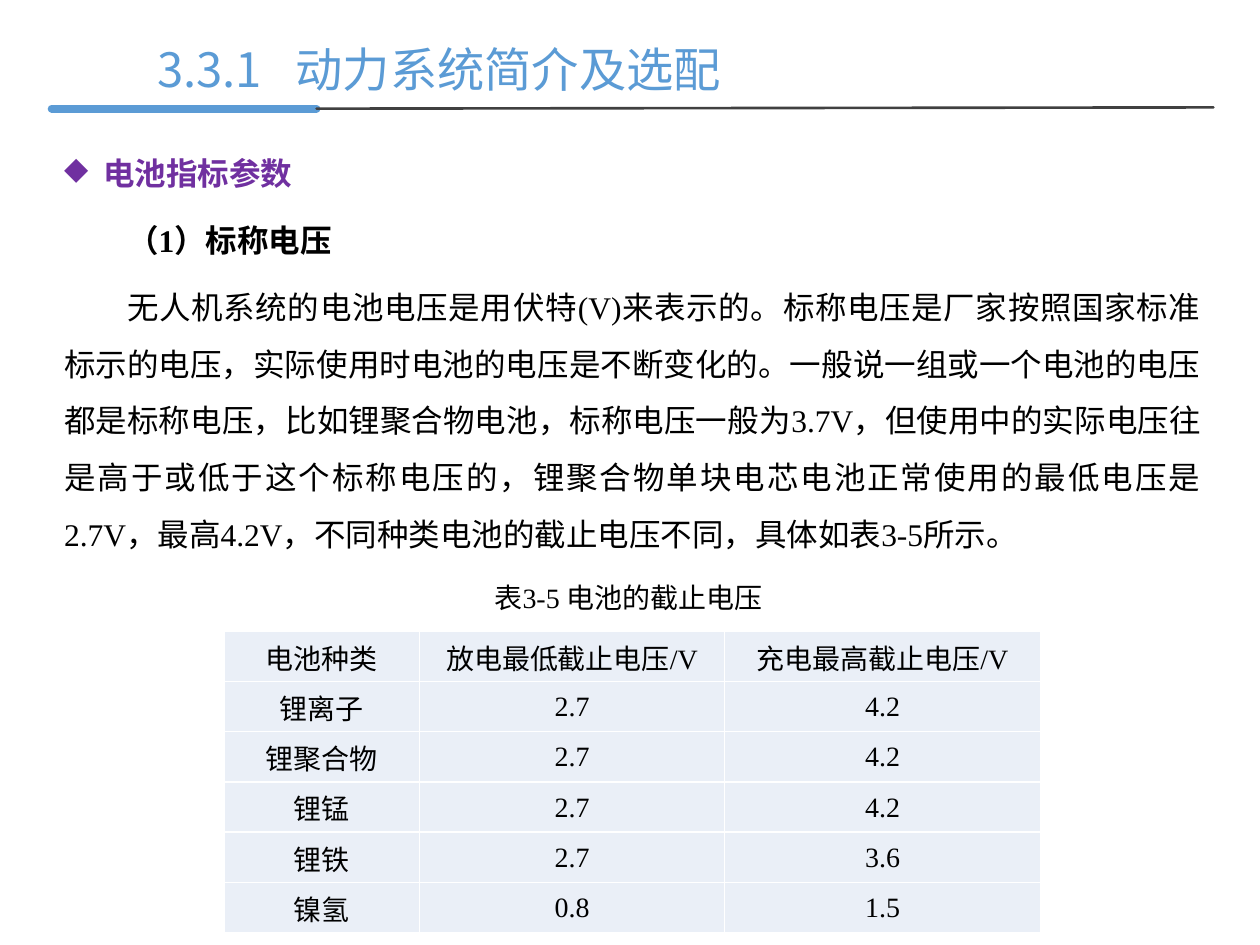
from typing import NamedTuple

from lxml.etree import SubElement
from pptx import Presentation
from pptx.dml.color import RGBColor
from pptx.enum.shapes import MSO_CONNECTOR
from pptx.enum.text import MSO_ANCHOR, PP_ALIGN as Align
from pptx.oxml import parse_xml
from pptx.oxml.ns import nsdecls, qn
from pptx.util import Inches, Pt

COLORS = {"accent": "5B9BD5", "rule": "404040", "heading": "7030A0",
          "text": "000000", "cell": "EAEFF7", "border": "FFFFFF"}
SANS, SERIF = "Noto Sans CJK SC", "Times New Roman"
BODY = {"name": SERIF, "size": Pt(18), "color": "text"}
SMALL = BODY | {"size": Pt(16)}

PARAGRAPH = (
    "无人机系统的电池电压是用伏特(V)来表示的。标称电压是厂家按照国家标准标示的电压，"
    "实际使用时电池的电压是不断变化的。一般说一组或一个电池的电压都是标称电压，"
    "比如锂聚合物电池，标称电压一般为3.7V，但使用中的实际电压往是高于或低于这个标称电压的，"
    "锂聚合物单块电芯电池正常使用的最低电压是2.7V，最高4.2V，"
    "不同种类电池的截止电压不同，具体如表3-5所示。")
VOLTAGES = [
    ("电池种类", "放电最低截止电压/V", "充电最高截止电压/V"),
    ("锂离子", "2.7", "4.2"),
    ("锂聚合物", "2.7", "4.2"),
    ("锂锰", "2.7", "4.2"),
    ("锂铁", "2.7", "3.6"),
    ("镍氢", "0.8", "1.5"),
]


class Box(NamedTuple):
    x: float
    y: float
    w: float
    h: float

    def inner(self, fx, fy, fw, fh):
        """Box inside this one, given as shares of its size."""
        return Box(self.x + fx * self.w, self.y + fy * self.h,
                   fw * self.w, fh * self.h)

    def emu(self):
        return [Inches(v) for v in self]


def rgb(key):
    return RGBColor.from_string(COLORS[key])


def add_run(p, text, fmt):
    r = p.add_run()
    r.text = text
    for name, value in fmt.items():
        if name == "color":
            r.font.color.rgb = rgb(value)
        else:
            setattr(r.font, name, value)
    SubElement(r.font._element, qn("a:ea"), typeface=SANS)


def add_textbox(s, box):
    tf = s.shapes.add_textbox(*box.emu()).text_frame
    tf.word_wrap = True
    return tf


def add_rule(s, start, end, color, width):
    line = s.shapes.add_connector(
        MSO_CONNECTOR.STRAIGHT, *[Inches(v) for v in (*start, *end)])
    line.line.color.rgb = rgb(color)
    line.line.width = Pt(width)
    line.line._ln.set("cap", "rnd")
    SubElement(line._element.spPr, qn("a:effectLst"))


def set_indent(p, left, first):
    pPr = p._p.get_or_add_pPr()
    pPr.set("marL", str(Inches(left)))
    pPr.set("indent", str(Inches(first)))
    return pPr


def draw_header(s, box):
    p = add_textbox(s, box.inner(0.08, 0, 0.9, 0.95)).paragraphs[0]
    tabs = SubElement(p._p.get_or_add_pPr(), qn("a:tabLst"))
    SubElement(tabs, qn("a:tab"), pos=str(Inches(1.1)), algn="l")
    add_run(p, "3.3.1\t动力系统简介及选配",
            {"name": SANS, "size": Pt(27), "color": "accent"})
    bottom = box.y + box.h
    split = (box.x + 0.228 * box.w, bottom)
    add_rule(s, (box.x, bottom), split, "accent", 4.5)
    add_rule(s, split, (box.x + box.w, bottom - 0.01), "rule", 1.5)


def draw_body(s, box):
    tf = add_textbox(s, box)
    rows = [
        ("电池指标参数", 0.31, -0.31, "◆", 6, {"bold": True, "color": "heading"}),
        ("（1）标称电压", 0, 0.5, None, 6, {"bold": True}),
        (PARAGRAPH, 0, 0.5, None, 0, {}),
    ]
    for i, (text, left, first, bullet, after, fmt) in enumerate(rows):
        p = tf.add_paragraph() if i else tf.paragraphs[0]
        pPr = set_indent(p, left, first)
        if bullet:
            SubElement(pPr, qn("a:buChar"), char=bullet)
        for name, value in {"alignment": Align.JUSTIFY, "line_spacing": 1.5,
                            "space_after": Pt(after)}.items():
            setattr(p, name, value)
        add_run(p, text, BODY | fmt)


def style_cell(cell):
    for name, value in {"margin_left": 0.08, "margin_right": 0.08,
                        "margin_top": 0.01, "margin_bottom": 0}.items():
        setattr(cell, name, Inches(value))
    cell.vertical_anchor = MSO_ANCHOR.MIDDLE
    cell.fill.solid()
    cell.fill.fore_color.rgb = rgb("cell")
    tcPr = cell._tc.get_or_add_tcPr()
    for i, side in enumerate("LRTB"):
        tcPr.insert(i, parse_xml(
            f'<a:ln{side} {nsdecls("a")} w="{Pt(1)}"><a:solidFill>'
            f'<a:srgbClr val="{COLORS["border"]}"/></a:solidFill></a:ln{side}>'))


def draw_table(s, box):
    """Caption above a table of cut-off voltages."""
    p = add_textbox(s, box.inner(0.29, 0, 0.41, 0.13)).paragraphs[0]
    p.alignment = Align.CENTER
    add_run(p, "表3-5 电池的截止电压", SMALL)

    grid = box.inner(0, 0.158, 1, 0.842)
    table = s.shapes.add_table(len(VOLTAGES), len(VOLTAGES[0]), *grid.emu()).table
    table.first_row = table.horz_banding = False
    for col, share in zip(table.columns, (0.239, 0.374, 0.387)):
        col.width = Inches(share * grid.w)
    for r, row in enumerate(VOLTAGES):
        for c, text in enumerate(row):
            cell = table.cell(r, c)
            style_cell(cell)
            p = cell.text_frame.paragraphs[0]
            p.alignment = Align.CENTER
            add_run(p, text, SMALL)


def main():
    prs = Presentation()
    page = Box(0, 0, 10, 7.5)
    prs.slide_width, prs.slide_height = Inches(page.w), Inches(page.h)
    s = prs.slides.add_slide(prs.slide_layouts[6])
    draw_header(s, page.inner(0.041, 0.036, 0.922, 0.079))
    draw_body(s, page.inner(0.041, 0.136, 0.922, 0.452))
    draw_table(s, page.inner(0.178, 0.608, 0.648, 0.379))
    prs.save("out.pptx")


if __name__ == "__main__":
    main()
